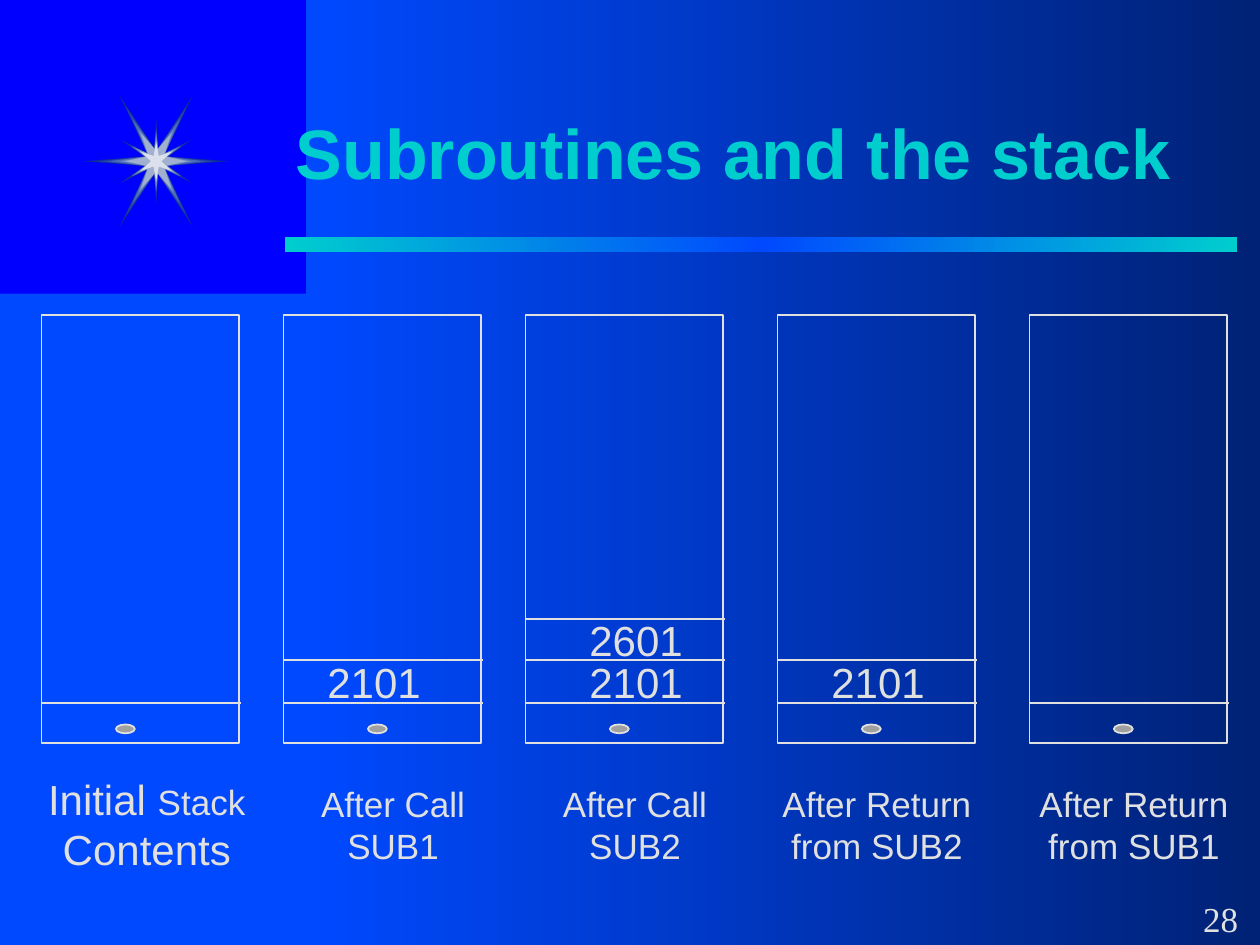
from dataclasses import dataclass

from lxml.etree import SubElement
from pptx import Presentation
from pptx.dml.color import RGBColor
from pptx.enum.shapes import MSO_CONNECTOR, MSO_SHAPE
from pptx.enum.text import MSO_ANCHOR, PP_ALIGN
from pptx.oxml.ns import qn
from pptx.shapes.autoshape import Shape
from pptx.slide import Slide
from pptx.util import Emu, Pt

PX_PER_INCH = 100
SCALE = 914400 // PX_PER_INCH

COLORS = {
    "background": "0000FF",
    "panel": "0049FF",
    "panel_end": "002276",
    "accent": "00CECE",
    "text": "E0E0E0",
    "marker": "A0A0A0",
    "shadow": "001A66",
}

STAR_CENTER = (124, 128)
STACK_TOP, STACK_WIDTH, STACK_HEIGHT = 250, 157, 340
DIVIDER_WIDTH, FIRST_DIVIDER = 158, 558
ENTRY_TOPS = (524, 491)


@dataclass(frozen=True)
class TextPart:
    text: str
    size: int


@dataclass(frozen=True)
class Stack:
    left: int
    marker_left: int
    entries: tuple[str, ...]
    entry_left: int
    caption_left: int
    caption_top: int
    caption_width: int
    caption: tuple[TextPart, ...]


@dataclass(frozen=True)
class StarLayer:
    long: bool
    reach: int
    color: str


STACKS = (
    Stack(33, 92, (), 0, 25, 609, 183,
          (TextPart("Initial ", 24), TextPart("Stack", 20), TextPart(" Contents", 24))),
    Stack(225, 292, ("2101",), 250, 233, 616, 158, (TextPart("After Call SUB1", 20),)),
    Stack(417, 484, ("2101", "2601"), 458, 425, 616, 158, (TextPart("After Call SUB2", 20),)),
    Stack(617, 684, ("2101",), 650, 600, 616, 192, (TextPart("After Return from SUB2", 20),)),
    Stack(817, 884, (), 0, 800, 616, 200, (TextPart("After Return from SUB1", 20),)),
)

STAR_LAYERS = (
    StarLayer(True, 58, "0B2B9E"),
    StarLayer(False, 34, "102FA1"),
    StarLayer(True, 47, "2645AC"),
    StarLayer(False, 25, "4464B9"),
    StarLayer(True, 38, "4464B9"),
    StarLayer(False, 23, "4E6EBC"),
    StarLayer(True, 35, "4E6EBC"),
    StarLayer(False, 22, "5A79C0"),
    StarLayer(False, 20, "7992C6"),
    StarLayer(True, 28, "7992C6"),
    StarLayer(True, 24, "A0B0CE"),
    StarLayer(False, 16, "D9D9D9"),
    StarLayer(False, 14, "DCE0ED"),
)


def px(length: int) -> Emu:
    return Emu(length * SCALE)


def rgb(name: str) -> RGBColor:
    return RGBColor.from_string(COLORS[name])


def add_block(slide: Slide, left: int, top: int, width: int, height: int,
              fill: str | None = None, line: str | None = None,
              preset: MSO_SHAPE = MSO_SHAPE.RECTANGLE) -> Shape:
    block = slide.shapes.add_shape(preset, px(left), px(top), px(width), px(height))
    block.shadow.inherit = False
    if fill:
        block.fill.solid()
        block.fill.fore_color.rgb = rgb(fill)
    else:
        block.fill.background()
    if line:
        block.line.color.rgb = rgb(line)
        block.line.width = Pt(1)
    else:
        block.line.fill.background()
    return block


def apply_gradient(block: Shape, names: tuple[str, ...]) -> None:
    block.fill.gradient()
    block.fill.gradient_angle = 0
    stops = block._element.spPr.find(qn("a:gradFill")).find(qn("a:gsLst"))
    for stop in list(stops):
        stops.remove(stop)
    for index, name in enumerate(names):
        stop = SubElement(stops, qn("a:gs"), pos=str(100000 * index // (len(names) - 1)))
        SubElement(stop, qn("a:srgbClr"), val=COLORS[name])


def add_divider(slide: Slide, left: int, top: int) -> None:
    divider = slide.shapes.add_connector(
        MSO_CONNECTOR.STRAIGHT, px(left), px(top), px(left + DIVIDER_WIDTH), px(top))
    divider.line.color.rgb = rgb("text")
    divider.line.width = Pt(1)
    SubElement(divider._element.spPr, qn("a:effectLst"))


def add_text(slide: Slide, left: int, top: int, width: int, height: int,
             parts: tuple[TextPart, ...], align: PP_ALIGN = PP_ALIGN.LEFT,
             font: str = "Arial", color: str = "text") -> Shape:
    box = slide.shapes.add_textbox(px(left), px(top), px(width), px(height))
    box.text_frame.word_wrap = True
    paragraph = box.text_frame.paragraphs[0]
    paragraph.alignment = align
    for part in parts:
        run = paragraph.add_run()
        run.text = part.text
        run.font.name = font
        run.font.size = Pt(part.size)
        run.font.color.rgb = rgb(color)
    return box


def add_star_layer(slide: Slide, layer: StarLayer) -> None:
    reach = layer.reach
    if layer.long:
        quarter = [(reach, 0), (6, 4), (reach * 0.5, reach * 0.905), (0, 8)]
    else:
        quarter = [(4, 0), (reach * 0.82, reach * 0.5), (2, 4), (0, reach)]
    half = quarter + [(-x, y) for x, y in reversed(quarter[:-1])]
    outline = half + [(x, -y) for x, y in reversed(half[1:-1])]
    center_x, center_y = STAR_CENTER
    points = [(round(center_x + x), round(center_y + y)) for x, y in outline]
    builder = slide.shapes.build_freeform(*points[0], scale=SCALE)
    builder.add_line_segments(points[1:], close=True)
    star = builder.convert_to_shape()
    star.shadow.inherit = False
    star.fill.solid()
    star.fill.fore_color.rgb = RGBColor.from_string(layer.color)
    star.line.fill.background()


def add_title(slide: Slide) -> None:
    title = add_text(slide, 225, 58, 758, 125,
                     (TextPart("Subroutines and the stack", 40),), color="accent")
    title.text_frame.vertical_anchor = MSO_ANCHOR.MIDDLE
    font = title.text_frame.paragraphs[0].runs[0].font
    font.bold = True
    effects = font._element.makeelement(qn("a:effectLst"))
    font._element.find(qn("a:solidFill")).addnext(effects)
    shadow = SubElement(effects, qn("a:outerShdw"), dist="25400", dir="2700000")
    SubElement(shadow, qn("a:srgbClr"), val=COLORS["shadow"])


def add_stack(slide: Slide, stack: Stack) -> None:
    add_block(slide, stack.left, STACK_TOP, STACK_WIDTH, STACK_HEIGHT, line="text")
    add_divider(slide, stack.left, FIRST_DIVIDER)
    add_block(slide, stack.marker_left, 575, 15, 7, "marker", "text", MSO_SHAPE.OVAL)
    for entry, top in zip(stack.entries, ENTRY_TOPS):
        add_divider(slide, stack.left, top)
        add_text(slide, stack.entry_left, top - 8, 117, 50, (TextPart(entry, 24),))
    add_text(slide, stack.caption_left, stack.caption_top, stack.caption_width, 77,
             stack.caption, PP_ALIGN.CENTER)


def main() -> None:
    presentation = Presentation()
    presentation.slide_width, presentation.slide_height = px(1000), px(750)
    slide = presentation.slides.add_slide(presentation.slide_layouts[6])
    slide.background.fill.solid()
    slide.background.fill.fore_color.rgb = rgb("background")
    add_block(slide, 0, 233, 243, 517, "panel")
    apply_gradient(add_block(slide, 243, 0, 757, 750), ("panel", "panel_end"))
    apply_gradient(add_block(slide, 226, 188, 756, 12), ("accent", "panel", "accent"))
    for layer in STAR_LAYERS:
        add_star_layer(slide, layer)
    add_text(slide, 945, 707, 55, 44, (TextPart("28", 20),), font="Times New Roman")
    for stack in STACKS:
        add_stack(slide, stack)
    add_title(slide)
    presentation.save("out.pptx")


if __name__ == "__main__":
    main()
